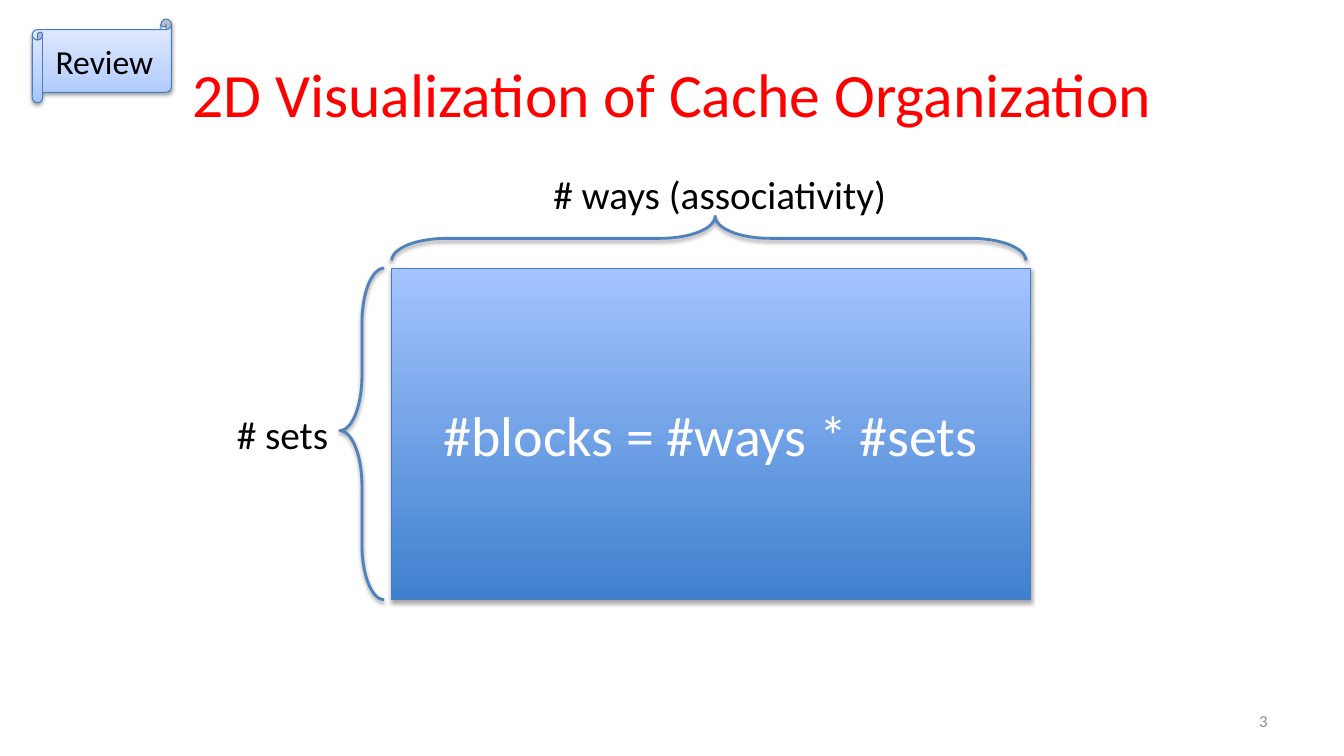
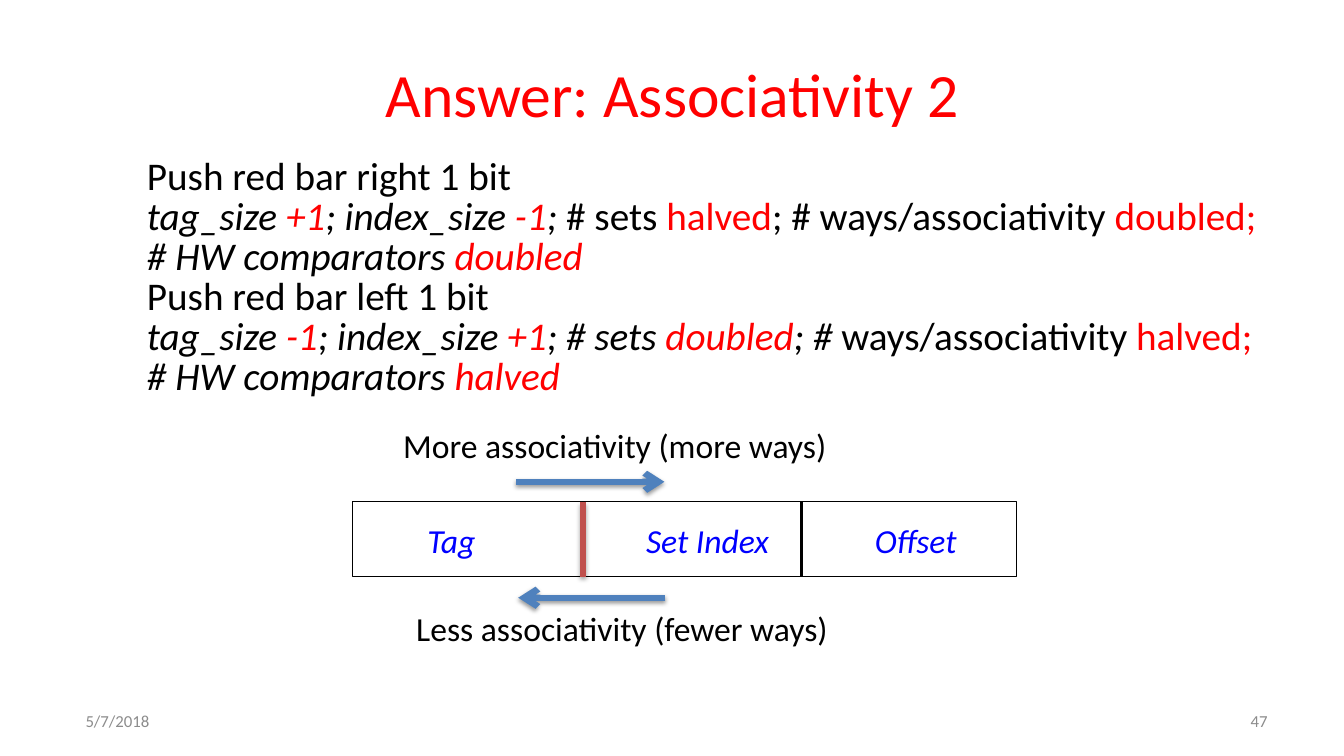
from lxml.etree import SubElement
from pptx import Presentation
from pptx.dml.color import RGBColor
from pptx.enum.shapes import MSO_CONNECTOR, MSO_SHAPE
from pptx.enum.text import MSO_ANCHOR, MSO_AUTO_SIZE, PP_ALIGN
from pptx.oxml.ns import qn
from pptx.util import Inches, Pt

FONT = "Calibri"
COLORS = {
    "red": "FF0000", "black": "000000", "white": "FFFFFF", "gray": "8C8C8C",
    "label": "0000FF", "accent": "4F81BD", "edge": "4B7EBC", "bar": "C0504D",
}
BLOCK_GRADIENT = [(0, "3F80CE"), (100, "A4C4FF")]
SCROLL_GRADIENT = [(0, "A4C4FF"), (35, "BFD4FF"), (100, "E6EEFF")]
SOFT_SHADOW = (38, 1.6)
DEEP_SHADOW = (35, 1.8)

CACHE_TITLE = "2D Visualization of Cache Organization"
CACHE_BLOCK = (3.88, 2.66, 6.34, 3.29)
BRACES = [((3.37, 2.66, 0.44, 3.29), 0), ((6.81, -0.78, 0.44, 6.29), 90)]
CACHE_LABELS = [
    ("# ways (associativity)", (5.39, 1.64, 3.54, 0.57)),
    ("# sets", (2.25, 4.02, 1.12, 0.57)),
]

ANSWER_TITLE = "Answer: Associativity 2"
ANSWER_LINES = [
    [("Push red bar right 1 bit", "")],
    [("tag_size ", "i"), ("+1", "ir"), ("; index_size ", "i"), ("-1", "ir"), ("; ", "i"),
     ("# sets ", ""), ("halved", "r"), ("; # ways/associativity ", ""), ("doubled;", "r")],
    [("# HW comparators ", "i"), ("doubled", "ir")],
    [("Push red bar left 1 bit", "")],
    [("tag_size ", "i"), ("-1", "ir"), ("; index_size ", "i"), ("+1", "ir"), ("; # sets ", "i"),
     ("doubled", "ir"), ("; # ", "i"), ("ways/associativity ", ""), ("halved;", "r")],
    [("# HW comparators ", "i"), ("halved", "ir")],
]
ADDRESS = (3.5, 4.98, 6.58, 0.74)
FIELDS = [("Tag", 4.14, 0.69), ("Set Index", 6.31, 1.43), ("Offset", 8.58, 1.03)]
DIRECTIONS = [
    ("More associativity (more ways)", (3.9, 4.17, 4.48, 0.5), (5.12, 6.59), 4.78),
    ("Less associativity (fewer ways)", (4.03, 5.98, 4.36, 0.5), (6.6, 5.14), 5.93),
]


def rgb(name):
    return RGBColor.from_string(COLORS[name])


def set_effect(sp, shadow=None):
    effects = SubElement(sp._element.spPr, qn("a:effectLst"))
    if shadow:
        opacity, distance = shadow
        outer = SubElement(effects, qn("a:outerShdw"), blurRad=str(Pt(3.1)),
                           dist=str(Pt(distance)), dir="5400000", rotWithShape="0")
        color = SubElement(outer, qn("a:srgbClr"), val=COLORS["black"])
        SubElement(color, qn("a:alpha"), val=str(opacity * 1000))


def style_run(r, size, color, italic=False):
    r.font.name = FONT
    r.font.size = Pt(size)
    r.font.color.rgb = rgb(color)
    r.font.italic = italic


def write(tf, text, size, color, align=PP_ALIGN.LEFT, italic=False):
    p = tf.paragraphs[0]
    p.text = text
    p.alignment = align
    style_run(p.runs[0], size, color, italic)


def add_box(s, at):
    return s.shapes.add_textbox(*map(Inches, at)).text_frame


def add_label(s, text, at, size, color="black", italic=False):
    tf = add_box(s, at)
    tf.word_wrap = False
    tf.auto_size = MSO_AUTO_SIZE.SHAPE_TO_FIT_TEXT
    write(tf, text, size, color, italic=italic)


def add_framed(s, text, at, size, color, align):
    tf = add_box(s, at)
    tf.word_wrap = True
    tf.vertical_anchor = MSO_ANCHOR.MIDDLE
    write(tf, text, size, color, align)


def add_shape(s, kind, at, line, width, gradient=None, shadow=None):
    sp = s.shapes.add_shape(kind, *map(Inches, at))
    if gradient:
        sp.fill.gradient()
        sp.fill.gradient_angle = 90
        stops = sp._element.spPr.find(qn("a:gradFill")).find(qn("a:gsLst"))
        for stop in list(stops):
            stops.remove(stop)
        for position, color in gradient:
            stop = SubElement(stops, qn("a:gs"), pos=str(position * 1000))
            SubElement(stop, qn("a:srgbClr"), val=color)
    else:
        sp.fill.background()
    sp.line.color.rgb = rgb(line)
    sp.line.width = Pt(width)
    set_effect(sp, shadow)
    return sp


def add_line(s, start, end, color, width, arrow=False, shadow=None):
    line = s.shapes.add_connector(MSO_CONNECTOR.STRAIGHT, *map(Inches, start + end))
    line.line.color.rgb = rgb(color)
    line.line.width = Pt(width)
    if arrow:
        SubElement(line.line._get_or_add_ln(), qn("a:tailEnd"), type="arrow")
    set_effect(line, shadow)


def add_slide(prs, title, number):
    s = prs.slides.add_slide(prs.slide_layouts[6])
    add_framed(s, title, (0.67, 0.3, 12, 1.25), 44, "red", PP_ALIGN.CENTER)
    add_framed(s, number, (9.56, 6.95, 3.11, 0.4), 12, "gray", PP_ALIGN.RIGHT)
    return s


def build_cache(prs):
    s = add_slide(prs, CACHE_TITLE, "3")
    block = add_shape(s, MSO_SHAPE.RECTANGLE, CACHE_BLOCK, "edge", 0.75,
                      BLOCK_GRADIENT, DEEP_SHADOW)
    write(block.text_frame, "#blocks = #ways * #sets", 40, "white", PP_ALIGN.CENTER)
    for at, rotation in BRACES:
        brace = add_shape(s, MSO_SHAPE.LEFT_BRACE, at, "accent", 2, shadow=SOFT_SHADOW)
        brace.rotation = rotation
        brace.adjustments[0] = 1.24
        brace.adjustments[1] = 0.49
    for text, at in CACHE_LABELS:
        add_label(s, text, at, 28)
    scroll = add_shape(s, MSO_SHAPE.HORIZONTAL_SCROLL, (0.32, 0.19, 1.38, 0.83), "edge", 0.75,
                       SCROLL_GRADIENT, SOFT_SHADOW)
    write(scroll.text_frame, "Review", 24, "black", PP_ALIGN.CENTER)


def build_answer(prs):
    s = add_slide(prs, ANSWER_TITLE, "47")
    tf = add_box(s, (1.36, 1.52, 11.34, 2.98))
    tf.word_wrap = False
    for i, line in enumerate(ANSWER_LINES):
        p = tf.add_paragraph() if i else tf.paragraphs[0]
        p.line_spacing = 0.85
        for text, style in line:
            r = p.add_run()
            r.text = text
            style_run(r, 28, "red" if "r" in style else "black", "i" in style)
    add_framed(s, "5/7/2018", (0.75, 6.95, 2.33, 0.4), 12, "gray", PP_ALIGN.LEFT)

    add_shape(s, MSO_SHAPE.RECTANGLE, ADDRESS, "black", 0.75)
    top, bottom = ADDRESS[1], ADDRESS[1] + ADDRESS[3]
    add_line(s, (7.95, top), (7.95, bottom), "black", 2)
    add_line(s, (5.78, top), (5.78, bottom), "bar", 4.5, shadow=DEEP_SHADOW)
    for text, left, width in FIELDS:
        add_label(s, text, (left, 5.11, width, 0.5), 24, "label", True)
    for text, at, (start, end), y in DIRECTIONS:
        add_label(s, text, at, 24)
        add_line(s, (start, y), (end, y), "accent", 4.5, True, SOFT_SHADOW)


def main():
    prs = Presentation()
    prs.slide_width = Inches(13.33)
    prs.slide_height = Inches(7.5)
    build_cache(prs)
    build_answer(prs)
    prs.save("out.pptx")


if __name__ == "__main__":
    main()
